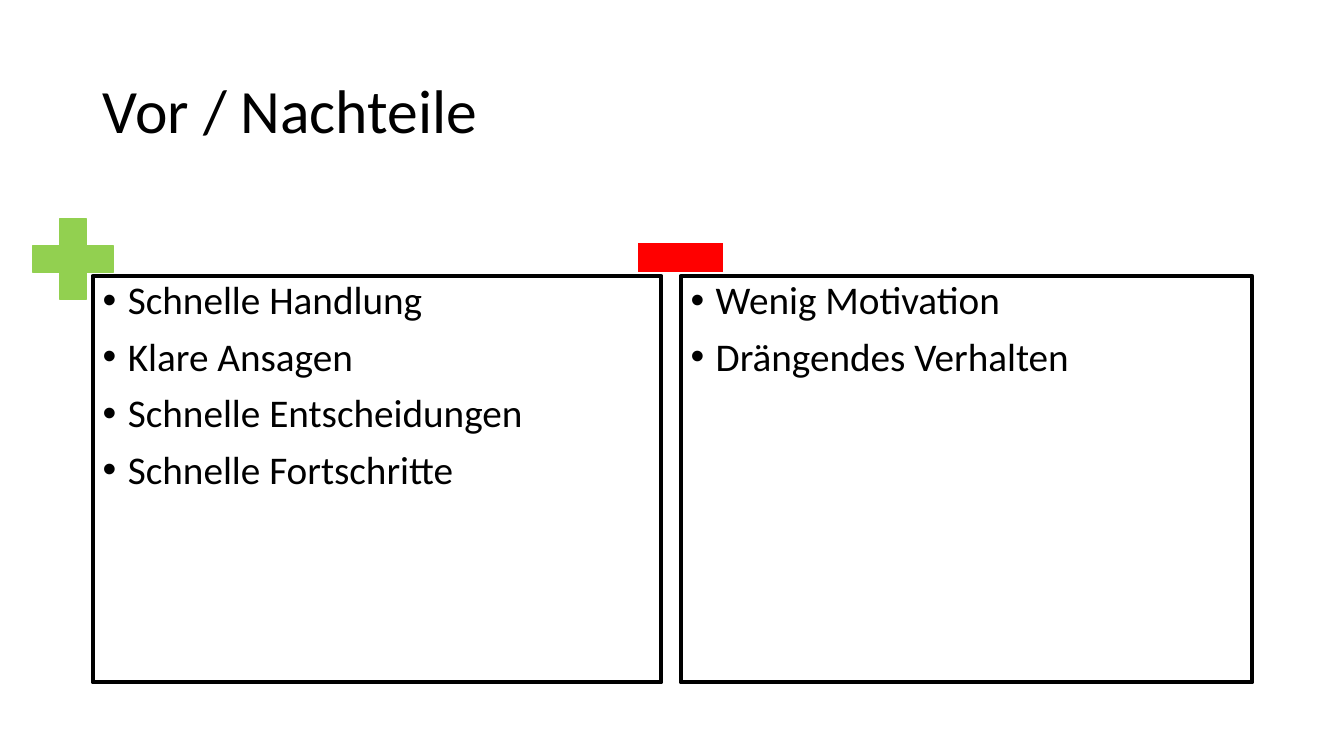
"""Build a slide that compares advantages and disadvantages in two framed lists."""
from dataclasses import dataclass

from lxml import etree
from pptx import Presentation
from pptx.dml.color import RGBColor
from pptx.enum.shapes import MSO_SHAPE
from pptx.enum.text import MSO_ANCHOR, MSO_AUTO_SIZE, PP_ALIGN
from pptx.oxml.ns import qn
from pptx.util import Inches, Pt

PLUS, MINUS = MSO_SHAPE.MATH_PLUS, MSO_SHAPE.MATH_MINUS
TOP, MIDDLE = MSO_ANCHOR.TOP, MSO_ANCHOR.MIDDLE
LEFT = PP_ALIGN.LEFT
NO_FIT = MSO_AUTO_SIZE.NONE
WIDTH, HEIGHT = Inches(13.33), Inches(7.5)
FONT, BLACK = "Calibri", "000000"
INDENT = Inches(0.25)


@dataclass(frozen=True)
class Box:
    """A rectangle in percent of the slide's width and height."""
    x: float
    y: float
    w: float
    h: float

    def emu(self) -> tuple[int, int, int, int]:
        return (round(self.x * WIDTH / 100), round(self.y * HEIGHT / 100),
                round(self.w * WIDTH / 100), round(self.h * HEIGHT / 100))


@dataclass(frozen=True)
class Side:
    """One side of the comparison: its framed list and its sign."""
    frame: Box
    items: tuple[str, ...]
    sign: MSO_SHAPE
    sign_box: Box
    color: str


TITLE_BOX = Box(6.9, 5.33, 86.27, 19.33)
SIDES = (
    Side(Box(6.9, 36.53, 42.31, 53.73),
         ("Schnelle Handlung", "Klare Ansagen",
          "Schnelle Entscheidungen", "Schnelle Fortschritte"),
         PLUS, Box(1.35, 26.93, 8.18, 14.67), "92D050"),
    Side(Box(50.64, 36.53, 42.54, 53.73),
         ("Wenig Motivation", "Drängendes Verhalten"),
         MINUS, Box(46.36, 26.13, 8.55, 15.87), "FF0000"),
)


def rgb(value: str) -> RGBColor:
    return RGBColor.from_string(value)


def set_line(sp, color: str, width: float) -> None:
    sp.line.color.rgb = rgb(color)
    sp.line.width = Pt(width)


def format_frame(tf, anchor: MSO_ANCHOR) -> None:
    tf.word_wrap = True
    tf.auto_size = NO_FIT
    tf.vertical_anchor = anchor


def format_paragraph(p, size: float) -> None:
    p.alignment = LEFT
    p.line_spacing = 0.9
    p.font.name = FONT
    p.font.size = Pt(size)
    p.font.color.rgb = rgb(BLACK)


def add_bullet(p) -> None:
    pPr = p._p.get_or_add_pPr()
    pPr.set("marL", str(INDENT))
    pPr.set("indent", str(-INDENT))
    font = etree.Element(qn("a:buFont"), typeface="Arial")
    char = etree.Element(qn("a:buChar"), char="•")
    pPr.find(qn("a:defRPr")).addprevious(font)
    font.addnext(char)


def add_title(slide, text: str) -> None:
    sp = slide.shapes.title
    sp.left, sp.top, sp.width, sp.height = TITLE_BOX.emu()
    tf = sp.text_frame
    tf.text = text
    format_frame(tf, MIDDLE)
    format_paragraph(tf.paragraphs[0], 44)


def add_list(slide, side: Side) -> None:
    sp = slide.shapes.add_textbox(*side.frame.emu())
    set_line(sp, BLACK, 3)
    tf = sp.text_frame
    format_frame(tf, TOP)
    tf.text = "\n".join(side.items)
    for p in tf.paragraphs:
        format_paragraph(p, 28)
        p.space_before = Pt(10)
        add_bullet(p)


def add_sign(slide, side: Side) -> None:
    sp = slide.shapes.add_shape(side.sign, *side.sign_box.emu())
    sp.shadow.inherit = False
    sp.fill.solid()
    sp.fill.fore_color.rgb = rgb(side.color)
    set_line(sp, side.color, 1)


def main() -> None:
    prs = Presentation()
    prs.slide_width, prs.slide_height = WIDTH, HEIGHT
    slide = prs.slides.add_slide(prs.slide_layouts.get_by_name("Title Only"))
    add_title(slide, "Vor / Nachteile")
    for draw in (add_list, add_sign):
        for side in SIDES:
            draw(slide, side)
    prs.save("out.pptx")


if __name__ == "__main__":
    main()
